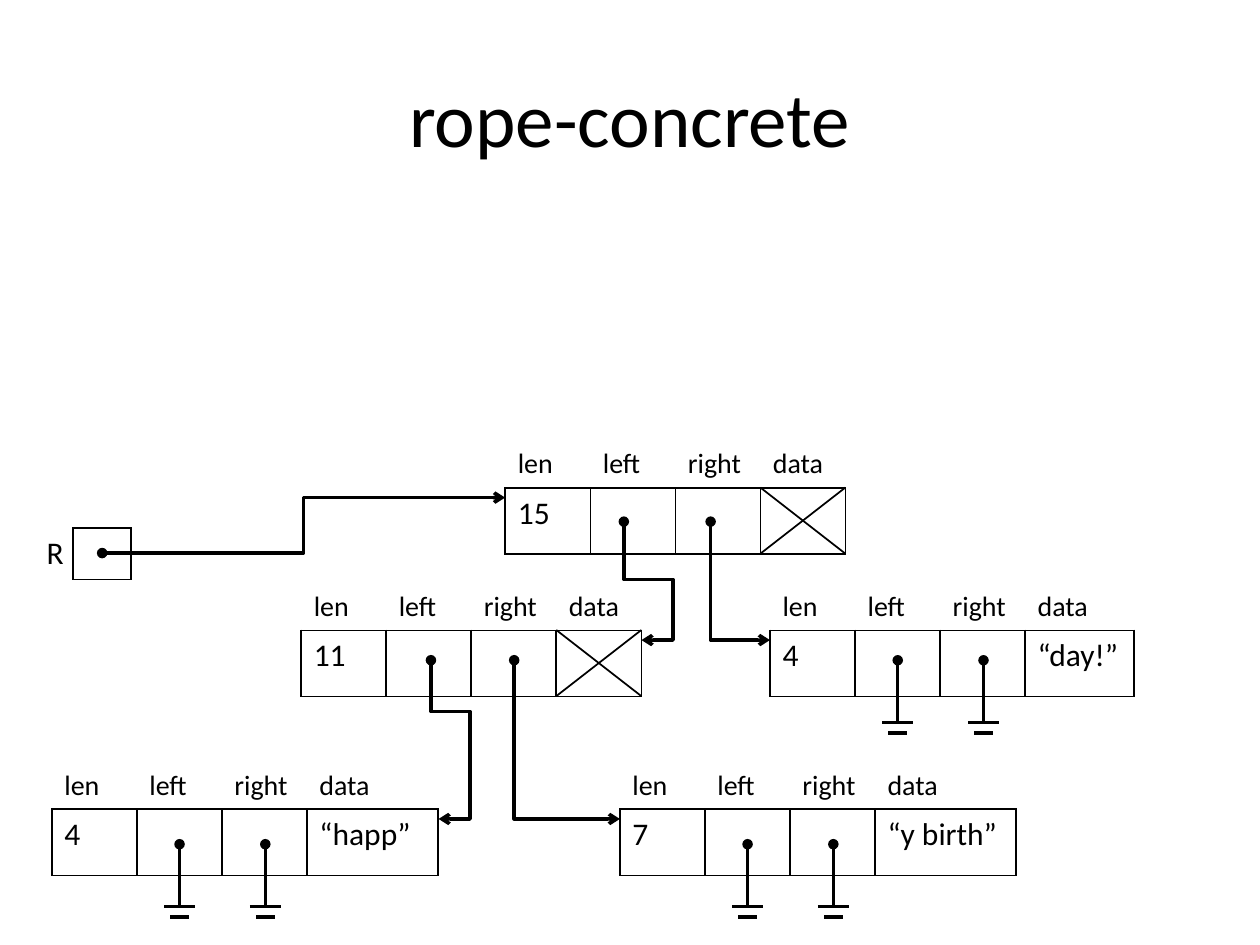
from lxml import etree
from pptx import Presentation
from pptx import util as u
from pptx.dml import color as colors
from pptx.enum import shapes, text
from pptx.oxml import ns

Pt = u.Pt


def paint(target, hex_value):
    target.solid()
    target.fore_color.rgb = colors.RGBColor.from_string(hex_value)


def draw_line(kind, start, end, width, head=None, tail=None):
    line = page.shapes.add_connector(kind, *map(Pt, start + end))
    line.line.width = Pt(width)
    paint(line.line.fill, BLACK)
    outline = line.get_or_add_ln()
    for tag, style in (("a:headEnd", head), ("a:tailEnd", tail)):
        if style:
            etree.SubElement(outline, ns.qn(tag), type=style)
    etree.SubElement(line._element.spPr, ns.qn("a:effectLst"))
    return line


BLACK = "000000"
STRAIGHT = shapes.MSO_CONNECTOR.STRAIGHT
ELBOW = shapes.MSO_CONNECTOR.ELBOW
NO_GRID = "{2D5ABB26-0587-4C30-8999-92F81FD0307C}"
FIELDS = ("len", "left", "right", "data")
COLUMN, HEADER, BODY = 48.6, 26.6, 37.8
ENTRY = 32.4

deck = Presentation()
deck.slide_width, deck.slide_height = Pt(720), Pt(540)
page = deck.slides.add_slide(deck.slide_layouts[6])

nodes = {
    "happ": (29.6, 435.6, 74.9, "4", "“happ”"),
    "root": (288.7, 252, COLUMN, "15", ""),
    "inner": (172.1, 333.4, COLUMN, "11", ""),
    "birth": (354.2, 435.6, 80.6, "7", "“y birth”"),
    "day": (440, 333.4, 62.2, "4", "“day!”"),
}
tables = [(19.4, 301.7, (22.3, 33.1), [(29.5, 18, ("R", ""))])]
for left, top, last_width, length, data in nodes.values():
    rows = [(HEADER, 16, FIELDS), (BODY, 18, (length, "", "", data))]
    tables.append((left, top, (COLUMN,) * 3 + (last_width,), rows))

label_edges = {"R": "R", **dict.fromkeys(FIELDS, "B")}
for left, top, widths, rows in tables:
    height = sum(row[0] for row in rows)
    frame = page.shapes.add_table(
        len(rows), len(widths), Pt(left), Pt(top), Pt(sum(widths)), Pt(height))
    table = frame.table
    table.first_row = table.horz_banding = False
    table._tbl.tblPr.find(ns.qn("a:tableStyleId")).text = NO_GRID
    for column, width in zip(table.columns, widths):
        column.width = Pt(width)
    for row_index, (row_height, size, words) in enumerate(rows):
        table.rows[row_index].height = Pt(row_height)
        for column_index, word in enumerate(words):
            cell = table.cell(row_index, column_index)
            cell.fill.background()
            for position, edge in enumerate(label_edges.get(word, "LRTB")):
                border = etree.Element(ns.qn("a:ln" + edge), w=str(Pt(1)))
                solid = etree.SubElement(border, ns.qn("a:solidFill"))
                etree.SubElement(solid, ns.qn("a:srgbClr"), val=BLACK)
                cell._tc.get_or_add_tcPr().insert(position, border)
            if word:
                span = cell.text_frame.paragraphs[0].add_run()
                span.text = word
                for name, value in {"size": Pt(size), "name": "Calibri"}.items():
                    setattr(span.font, name, value)
                paint(span.font.fill, BLACK)

draw_line(ELBOW, (58.4, 316.1), (288.7, 252 + ENTRY), 2, "oval", "arrow")

links = [
    ((246.2, 377.3), (250.6, 435.6 + ENTRY), (268.6, 406.6)),
    ((356.5, 298.1), (366.6, 333.4 + ENTRY), (384.6, 331.2)),
    ((293.8, 377.3), (354.2, 435.6 + ENTRY), None),
    ((406.1, 298.1), (440, 333.4 + ENTRY), None),
]
for (x1, y1), (x2, y2), bend in links:
    middle_x, middle_y = (x1 + x2) / 2, (y1 + y2) / 2
    half_run, half_drop = (x2 - x1) / 2, (y2 - y1) / 2
    link = draw_line(
        ELBOW, (middle_x + half_drop, middle_y - half_run),
        (middle_x - half_drop, middle_y + half_run), 2, "oval", "arrow")
    properties = link._element.spPr
    properties.find(ns.qn("a:xfrm")).set("rot", str(270 * 60000))
    geometry = properties.find(ns.qn("a:prstGeom"))
    geometry.set("prst", "bentConnector4" if bend else "bentConnector2")
    if bend:
        guides = geometry.find(ns.qn("a:avLst"))
        ratios = (bend[1] - y1) / (y2 - y1), (bend[0] - x1) / (x2 - x1)
        for number, ratio in enumerate(ratios, 1):
            etree.SubElement(guides, ns.qn("a:gd"), name=f"adj{number}",
                             fmla=f"val {round(ratio * 100000)}")

for node, start_y in (("happ", 482.4), ("birth", 482.4), ("day", 377.3)):
    for offset in (73, 122):
        x, ground_y = nodes[node][0] + offset, start_y + 35.5
        draw_line(STRAIGHT, (x, start_y), (x, ground_y), 2, "oval")
        for half, y in ((8.8, ground_y), (5.3, ground_y + 6.2)):
            draw_line(STRAIGHT, (x - half, y), (x + half, y), 2)

for node in ("inner", "root"):
    left, top = nodes[node][0] + 3 * COLUMN, nodes[node][1] + HEADER
    right, bottom = left + COLUMN, top + BODY
    draw_line(STRAIGHT, (left, top), (right, bottom), 1)
    draw_line(STRAIGHT, (left, bottom), (right, top), 1)

box = page.shapes.add_textbox(Pt(36), Pt(21.6), Pt(648), Pt(90))
frame_format = {"word_wrap": True, "vertical_anchor": text.MSO_ANCHOR.MIDDLE}
for name, value in frame_format.items():
    setattr(box.text_frame, name, value)
para = box.text_frame.paragraphs[0]
para.alignment = text.PP_ALIGN.CENTER
span = para.add_run()
span.text = "rope-concrete"
for name, value in {"size": Pt(44), "name": "Calibri"}.items():
    setattr(span.font, name, value)
paint(span.font.fill, BLACK)

deck.save("out.pptx")
